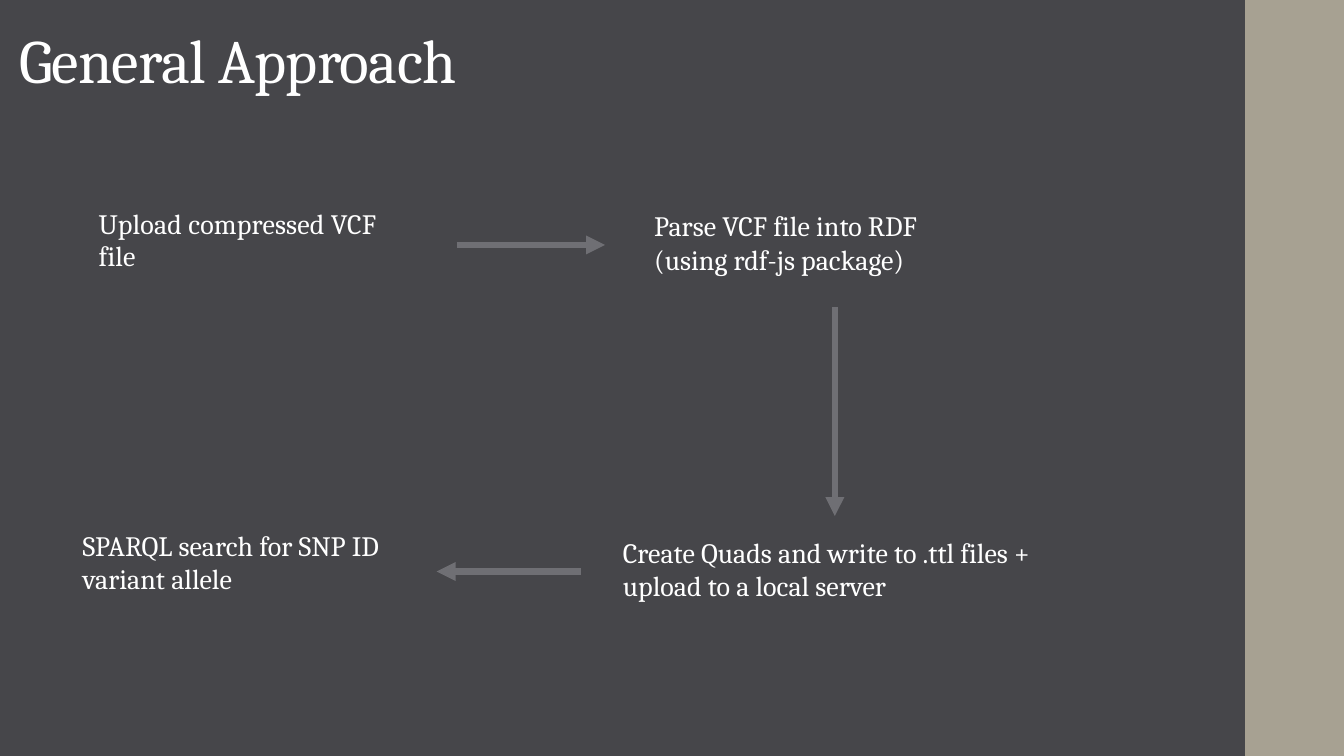
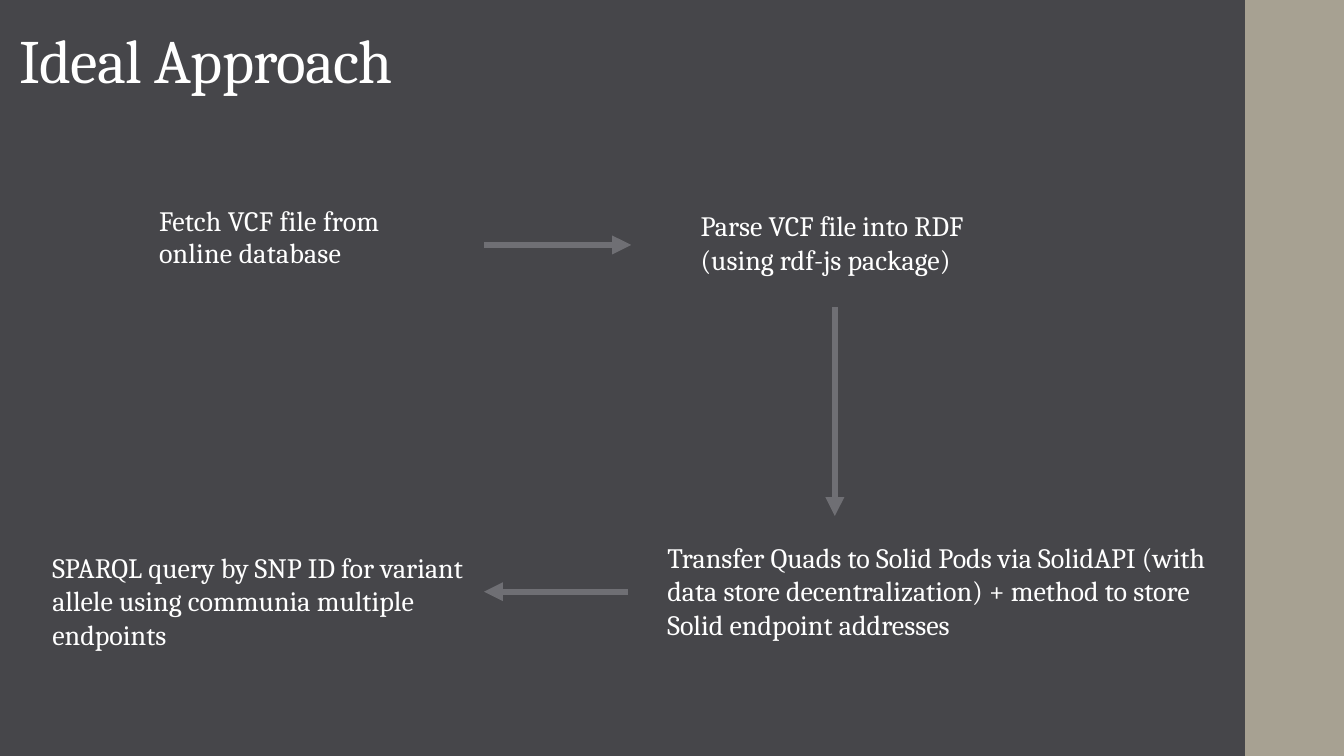
from dataclasses import dataclass

from lxml import etree
from pptx import Presentation
from pptx.dml.color import RGBColor
from pptx.enum.shapes import MSO_CONNECTOR, MSO_SHAPE
from pptx.enum.text import MSO_ANCHOR, MSO_AUTO_SIZE, PP_ALIGN
from pptx.oxml.ns import qn
from pptx.util import Inches, Pt

STRAIGHT = MSO_CONNECTOR.STRAIGHT
RECTANGLE = MSO_SHAPE.RECTANGLE
MIDDLE, TOP = MSO_ANCHOR.MIDDLE, MSO_ANCHOR.TOP
NO_FIT = MSO_AUTO_SIZE.NONE
LEFT = PP_ALIGN.LEFT


@dataclass(frozen=True)
class Theme:
    """Colours, type and line sizes shared by the slides."""
    background: str = "46464A"
    band: str = "A7A192"
    arrow: str = "6F6F74"
    text: str = "FFFFFF"
    font: str = "Cambria"
    title_size: int = 44
    body_size: int = 20
    arrow_width: float = 4.5


@dataclass(frozen=True)
class TextStyle:
    """Paragraph and letter spacing, in points or lines."""
    size: int
    line: float = 1.0
    before: int = 0
    after: int = 0
    tracking: float = 0


THEME = Theme()
TITLE = TextStyle(THEME.title_size, line=0.9, tracking=-0.5)
START = TextStyle(THEME.body_size, line=0.95, before=14, after=2, tracking=0.1)
STEP = TextStyle(THEME.body_size, before=9)

SLIDE_W, SLIDE_H = 13.33, 7.5
BAND_LEFT = 12.35
BAND_ID = 99
TITLE_BOX = (0.09, 0.02, 8.79, 1.23)
PARSE_TEXT = "Parse VCF file into RDF (using rdf-js package)"
DOWN_ARROW = ((8.28, 3.05), (8.28, 5.12))

# Steps: text, (left, top, width, height), style. Arrows: start, end.
SLIDES = [
    {
        "title": "General Approach",
        "steps": [
            ("Upload compressed VCF file", (0.88, 2.02, 3.34, 0.85), START),
            (PARSE_TEXT, (6.39, 2.02, 3.53, 0.82), STEP),
            ("Create Quads and write to .ttl files + upload to a local server",
             (6.08, 5.26, 5.01, 0.8), STEP),
            ("SPARQL search for SNP ID variant allele",
             (0.72, 5.19, 3.65, 0.94), STEP),
        ],
        "arrows": [((4.53, 2.43), (6, 2.43)), DOWN_ARROW,
                   ((5.76, 5.67), (4.33, 5.67))],
    },
    {
        "title": "Ideal Approach",
        "steps": [
            ("Fetch VCF file from online database",
             (1.48, 1.99, 2.96, 0.85), START),
            (PARSE_TEXT, (6.85, 2.02, 3.53, 0.82), STEP),
            ("Transfer Quads to Solid Pods via SolidAPI (with data store "
             "decentralization) + method to store Solid endpoint addresses",
             (6.52, 5.31, 5.69, 1.23), STEP),
            ("SPARQL query by SNP ID for variant allele using communia "
             "multiple endpoints", (0.42, 5.41, 4.68, 1.23), STEP),
        ],
        "arrows": [((4.8, 2.43), (6.26, 2.43)), DOWN_ARROW,
                   ((6.23, 5.87), (4.8, 5.87))],
    },
]


def rgb(value):
    """Turn a hex string into a colour."""
    return RGBColor.from_string(value)


def write(sp, text, style, anchor=TOP):
    """Put one styled paragraph into a shape."""
    tf = sp.text_frame
    tf.word_wrap = True
    tf.auto_size = NO_FIT
    tf.vertical_anchor = anchor
    p = tf.paragraphs[0]
    p.alignment = LEFT
    p.line_spacing = style.line
    p.space_before, p.space_after = Pt(style.before), Pt(style.after)
    p.font.name, p.font.size = THEME.font, Pt(style.size)
    p.font.color.rgb = rgb(THEME.text)
    r = p.add_run()
    r.text = text
    if style.tracking:
        r.font._element.set("spc", str(round(style.tracking * 100)))


def add_arrow(s, start, end):
    """Draw a straight arrow between two points."""
    line = s.shapes.add_connector(
        STRAIGHT, *(Inches(v) for v in (*start, *end)))
    line.line.color.rgb = rgb(THEME.arrow)
    line.line.width = Pt(THEME.arrow_width)
    ln = line.line._get_or_add_ln()
    etree.SubElement(ln, qn("a:tailEnd"), type="triangle")
    etree.SubElement(line._element.spPr, qn("a:effectLst"))


def add_layout_band(s):
    """Draw the side band and hand it to the layout behind the slide."""
    band = s.shapes.add_shape(
        RECTANGLE, Inches(BAND_LEFT), 0,
        Inches(SLIDE_W - BAND_LEFT), Inches(SLIDE_H))
    band.shadow.inherit = False
    band.fill.solid()
    band.fill.fore_color.rgb = rgb(THEME.band)
    band.line.fill.background()
    band._element.nvSpPr.cNvPr.set("id", str(BAND_ID))
    s.slide_layout.shapes[0]._element.addprevious(band._element)


def add_slide(prs, layout, content):
    """Build one slide of steps joined by arrows."""
    s = prs.slides.add_slide(layout)
    title = s.shapes.title
    title.left, title.top, title.width, title.height = map(Inches, TITLE_BOX)
    write(title, content["title"], TITLE, MIDDLE)
    for text, box, style in content["steps"]:
        write(s.shapes.add_textbox(*map(Inches, box)), text, style)
    for start, end in content["arrows"]:
        add_arrow(s, start, end)
    return s


def main():
    """Set up the shared look, then build and save the slides."""
    prs = Presentation()
    prs.slide_width, prs.slide_height = Inches(SLIDE_W), Inches(SLIDE_H)
    fill = prs.slide_master.background.fill
    fill.solid()
    fill.fore_color.rgb = rgb(THEME.background)
    layout = prs.slide_layouts.get_by_name("Title Only")
    slides = [add_slide(prs, layout, content) for content in SLIDES]
    add_layout_band(slides[0])
    prs.save("out.pptx")


main()
